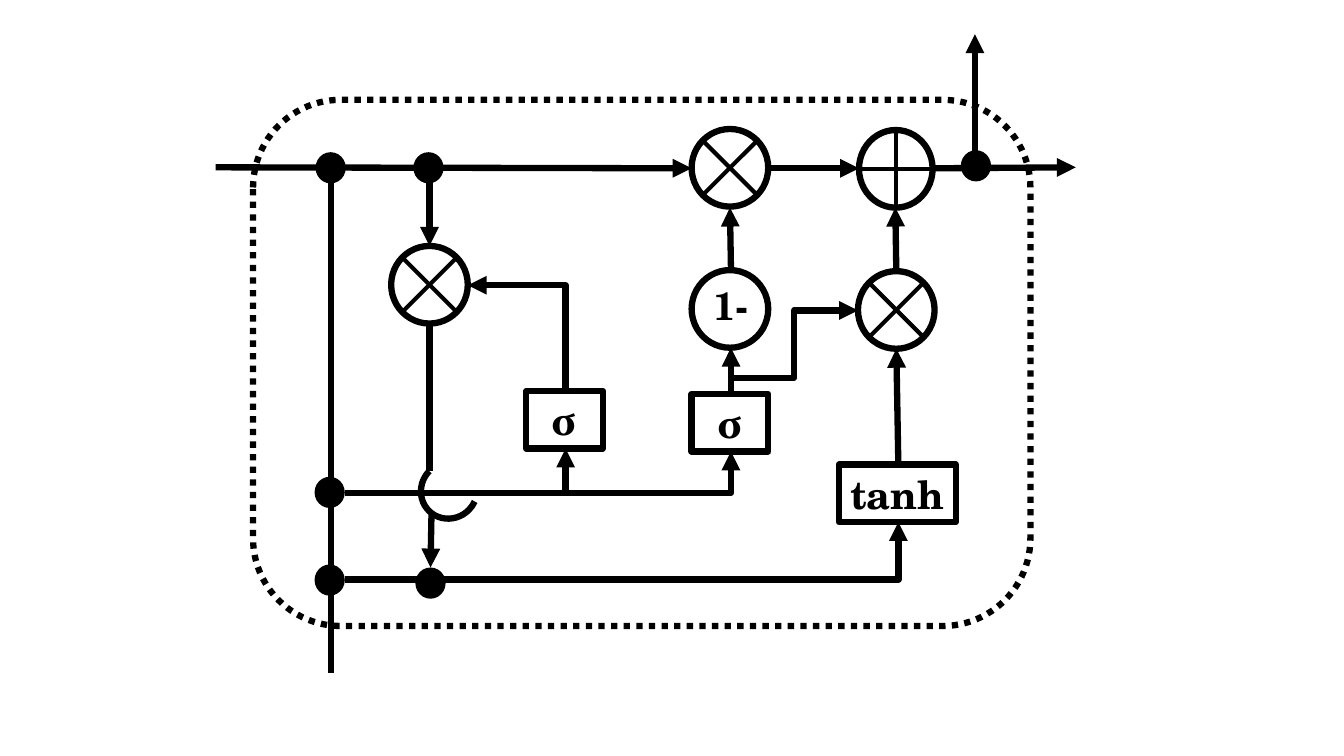
from pptx import Presentation
from pptx.dml.color import RGBColor
from pptx.enum.dml import MSO_LINE
from pptx.enum.shapes import MSO_CONNECTOR, MSO_SHAPE
from pptx.enum.text import MSO_ANCHOR, PP_ALIGN
from pptx.oxml.ns import qn
from pptx.util import Inches, Pt
from lxml import etree

BLACK = RGBColor(0, 0, 0)
FONT = "TeX Gyre Schola"
THICK, THIN = 4.5, 3
GATE_WIDTH, GATE_HEIGHT = 0.76, 0.77
DOT_WIDTH, DOT_HEIGHT = 0.3, 0.31
BOX_HEIGHT = 0.57
CROSS_REACH = 0.27


def add_outline(page, kind, left, top, width, height):
    shape = page.shapes.add_shape(
        kind, Inches(left), Inches(top), Inches(width), Inches(height))
    shape.shadow.inherit = False
    shape.fill.background()
    shape.line.color.rgb = BLACK
    shape.line.width = Pt(THICK)
    return shape


def add_line(page, start, end, width=THICK, arrow=None, kind=MSO_CONNECTOR.STRAIGHT):
    """Join two points; arrow is 'tailEnd' (at end), 'headEnd' (at start) or None."""
    line = page.shapes.add_connector(kind, *map(Inches, start + end))
    line.line.color.rgb = BLACK
    line.line.width = Pt(width)
    if arrow:
        etree.SubElement(line.line._get_or_add_ln(), qn("a:" + arrow), type="triangle")
    etree.SubElement(line._element.spPr, qn("a:effectLst"))
    return line


def add_arrow(page, start, end):
    add_line(page, start, end, arrow="tailEnd")


def add_corner(page, start, end, arrow="tailEnd"):
    """Run horizontally from start, then vertically to end."""
    corner = add_line(page, start, end, arrow=arrow, kind=MSO_CONNECTOR.ELBOW)
    corner._element.spPr.find(qn("a:prstGeom")).set("prst", "bentConnector2")


def add_dot(page, left, top):
    dot = add_outline(page, MSO_SHAPE.FLOWCHART_CONNECTOR, left, top, DOT_WIDTH, DOT_HEIGHT)
    dot.fill.solid()
    dot.fill.fore_color.rgb = BLACK
    dot.line.fill.background()


def add_gate(page, left, top, width=GATE_WIDTH):
    add_outline(page, MSO_SHAPE.FLOWCHART_CONNECTOR, left, top, width, GATE_HEIGHT)


def add_times_gate(page, left, top):
    add_gate(page, left, top)
    x, y = left + GATE_WIDTH / 2, top + GATE_HEIGHT / 2
    for slope in (1, -1):
        rise = slope * CROSS_REACH
        add_line(page, (x - CROSS_REACH, y - rise), (x + CROSS_REACH, y + rise), THIN)


def add_plus_gate(page, left, top, width):
    add_gate(page, left, top, width)
    x, y = left + width / 2, top + GATE_HEIGHT / 2
    add_line(page, (x, top), (x, top + GATE_HEIGHT), THIN)
    add_line(page, (left, y), (left + width, y), THIN)


def set_label(shape, text):
    frame = shape.text_frame
    frame.word_wrap = False
    frame.vertical_anchor = MSO_ANCHOR.MIDDLE
    para = frame.paragraphs[0]
    para.text = text
    para.alignment = PP_ALIGN.CENTER
    para.font.name = FONT
    para.font.size = Pt(28)
    para.font.bold = True
    para.font.color.rgb = BLACK


def add_function_box(page, text, left, top, width=GATE_WIDTH):
    set_label(add_outline(page, MSO_SHAPE.RECTANGLE, left, top, width, BOX_HEIGHT), text)


def add_text(page, text, left, top):
    box = page.shapes.add_textbox(
        Inches(left), Inches(top), Inches(GATE_WIDTH), Inches(BOX_HEIGHT))
    set_label(box, text)


def add_bridge(page):
    """Arc that carries the reset line over the gate input line."""
    arc = add_outline(page, MSO_SHAPE.ARC, 4.18, 4.58, 0.55, 0.57)
    arc.adjustments[0] = 159.41 * 0.6  # 60000 units a degree, stored in 100000ths
    arc.adjustments[1] = 0
    arc.rotation = 224


def main():
    deck = Presentation()
    deck.slide_width, deck.slide_height = Inches(13.33), Inches(7.5)
    page = deck.slides.add_slide(deck.slide_layouts[6])

    cell = add_outline(page, MSO_SHAPE.ROUNDED_RECTANGLE, 2.51, 0.99, 7.71, 5.22)
    cell.line.dash_style = MSO_LINE.ROUND_DOT

    for left, top in ((6.86, 1.28), (3.88, 2.44), (8.51, 2.69)):
        add_times_gate(page, left, top)
    add_plus_gate(page, 8.52, 1.29, 0.73)
    add_gate(page, 6.86, 2.68)
    add_text(page, "1-", 6.87, 2.74)

    add_function_box(page, "σ", 5.22, 3.88)
    add_function_box(page, "σ", 6.86, 3.91)
    add_function_box(page, "tanh", 8.32, 4.61, 1.16)

    for start, end in (
        ((2.14, 1.66), (6.86, 1.67)),
        ((7.62, 1.67), (8.52, 1.67)),
        ((9.25, 1.67), (10.67, 1.66)),
        ((9.67, 1.65), (9.67, 0.34)),
        ((4.26, 1.66), (4.26, 2.44)),
        ((4.28, 5.08), (4.27, 5.63)),
        ((5.61, 4.89), (5.61, 4.45)),
        ((7.25, 3.91), (7.25, 3.45)),
        ((7.25, 2.68), (7.24, 2.06)),
        ((8.91, 4.61), (8.89, 3.46)),
        ((8.89, 2.69), (8.88, 2.06)),
    ):
        add_arrow(page, start, end)
    add_line(page, (3.28, 1.82), (3.28, 6.68))
    add_line(page, (4.26, 3.22), (4.26, 4.67))
    add_bridge(page)

    add_corner(page, (3.42, 5.75), (8.91, 5.18))
    add_corner(page, (3.42, 4.89), (7.25, 4.48))
    add_corner(page, (4.64, 2.83), (5.61, 3.88), arrow="headEnd")
    add_line(page, (7.24, 3.75), (8.51, 3.08), arrow="tailEnd", kind=MSO_CONNECTOR.ELBOW)

    for left, top in ((3.13, 1.51), (4.1, 1.51), (9.53, 1.49),
                      (3.12, 4.73), (3.12, 5.6), (4.12, 5.63)):
        add_dot(page, left, top)

    deck.save("out.pptx")


if __name__ == "__main__":
    main()
